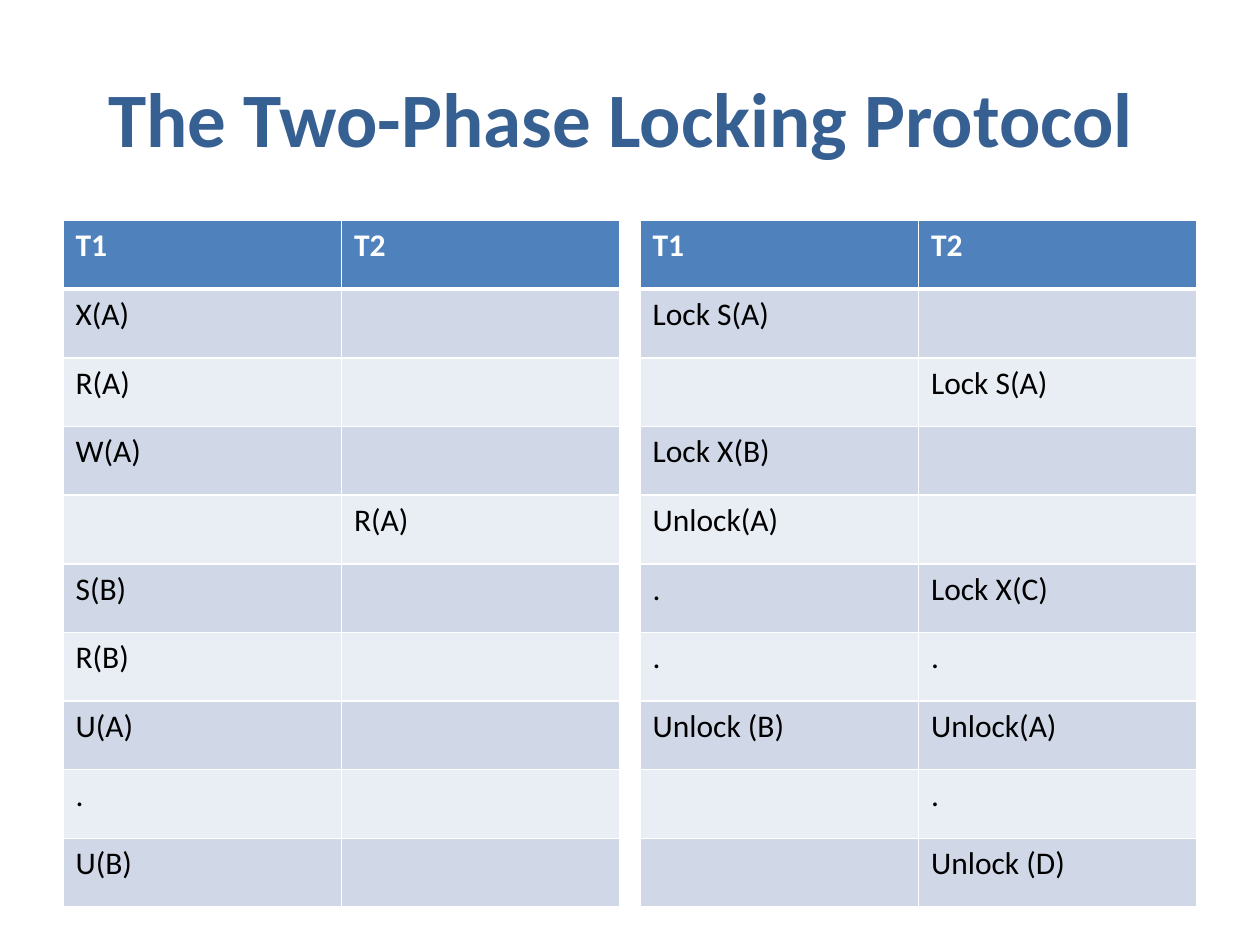
import pptx
import pptx.dml.color
import pptx.enum.text
import pptx.oxml
import pptx.oxml.ns
import pptx.util
from pptx.util import Inches

FONT = "Calibri"
HEADER_FILL = "4F81BD"
BAND_FILLS = ("D0D8E8", "E9EDF4")
HEADER = ("T1", "T2")
TABLE_TOP = 1.75
TABLE_HEIGHT = 5.45
COLUMN_WIDTH = 2.21

OPERATIONS = [
    HEADER,
    ("X(A)", ""),
    ("R(A)", ""),
    ("W(A)", ""),
    ("", "R(A)"),
    ("S(B)", ""),
    ("R(B)", ""),
    ("U(A)", ""),
    (".", ""),
    ("U(B)", ""),
]
LOCKS = [
    HEADER,
    ("Lock S(A)", ""),
    ("", "Lock S(A)"),
    ("Lock X(B)", ""),
    ("Unlock(A)", ""),
    (".", "Lock X(C)"),
    (".", "."),
    ("Unlock (B)", "Unlock(A)"),
    ("", "."),
    ("", "Unlock (D)"),
]


def rgb(value):
    """Return the colour for a hex string."""
    return pptx.dml.color.RGBColor.from_string(value)


def format_font(font, size, color, bold):
    """Set the typeface, size, colour and weight of a font."""
    font.name = FONT
    font.size = pptx.util.Pt(size)
    font.bold = bold
    font.color.rgb = rgb(color)


def add_title(slide, text):
    """Fill and place the title placeholder."""
    title = slide.shapes.title
    title.left, title.top = Inches(0.5), Inches(0.3)
    title.width, title.height = Inches(9), Inches(1.25)
    text_frame = title.text_frame
    text_frame.text = text
    text_frame.vertical_anchor = pptx.enum.text.MSO_ANCHOR.MIDDLE
    paragraph = text_frame.paragraphs[0]
    paragraph.alignment = pptx.enum.text.PP_ALIGN.CENTER
    format_font(paragraph.runs[0].font, 44, "376092", True)


def set_borders(cell, top, bottom):
    """Draw white cell borders, with top and bottom widths in points."""
    properties = cell._tc.get_or_add_tcPr()
    for side, width in (("L", 1), ("R", 1), ("T", top), ("B", bottom)):
        properties.append(pptx.oxml.parse_xml(
            f'<a:ln{side} {pptx.oxml.ns.nsdecls("a")} w="{pptx.util.Pt(width)}">'
            '<a:solidFill><a:srgbClr val="FFFFFF"/></a:solidFill>'
            f'</a:ln{side}>'))


def format_cell(cell, text, row_index):
    """Write a cell and style it by its row."""
    is_header = row_index == 0
    set_borders(cell, 3 if row_index == 1 else 1, 3 if is_header else 1)
    cell.fill.solid()
    cell.fill.fore_color.rgb = rgb(
        HEADER_FILL if is_header else BAND_FILLS[(row_index - 1) % 2])
    cell.text_frame.text = text
    paragraph = cell.text_frame.paragraphs[0]
    for run in paragraph.runs:
        format_font(run.font, 18, "FFFFFF" if is_header else "000000", is_header)


def add_schedule(slide, left, rows):
    """Add a two-transaction schedule table."""
    table = slide.shapes.add_table(
        len(rows), len(HEADER), Inches(left), Inches(TABLE_TOP),
        Inches(COLUMN_WIDTH * len(HEADER)), Inches(TABLE_HEIGHT)).table
    for row_index, texts in enumerate(rows):
        for column_index, text in enumerate(texts):
            format_cell(table.cell(row_index, column_index), text, row_index)


def main():
    """Build the slide and save it."""
    presentation = pptx.Presentation()
    presentation.slide_width = Inches(10)
    presentation.slide_height = Inches(7.5)
    slide = presentation.slides.add_slide(presentation.slide_layouts[5])
    add_title(slide, "The Two-Phase Locking Protocol ")
    add_schedule(slide, 0.5, OPERATIONS)
    add_schedule(slide, 5.08, LOCKS)
    presentation.save("out.pptx")


if __name__ == "__main__":
    main()
